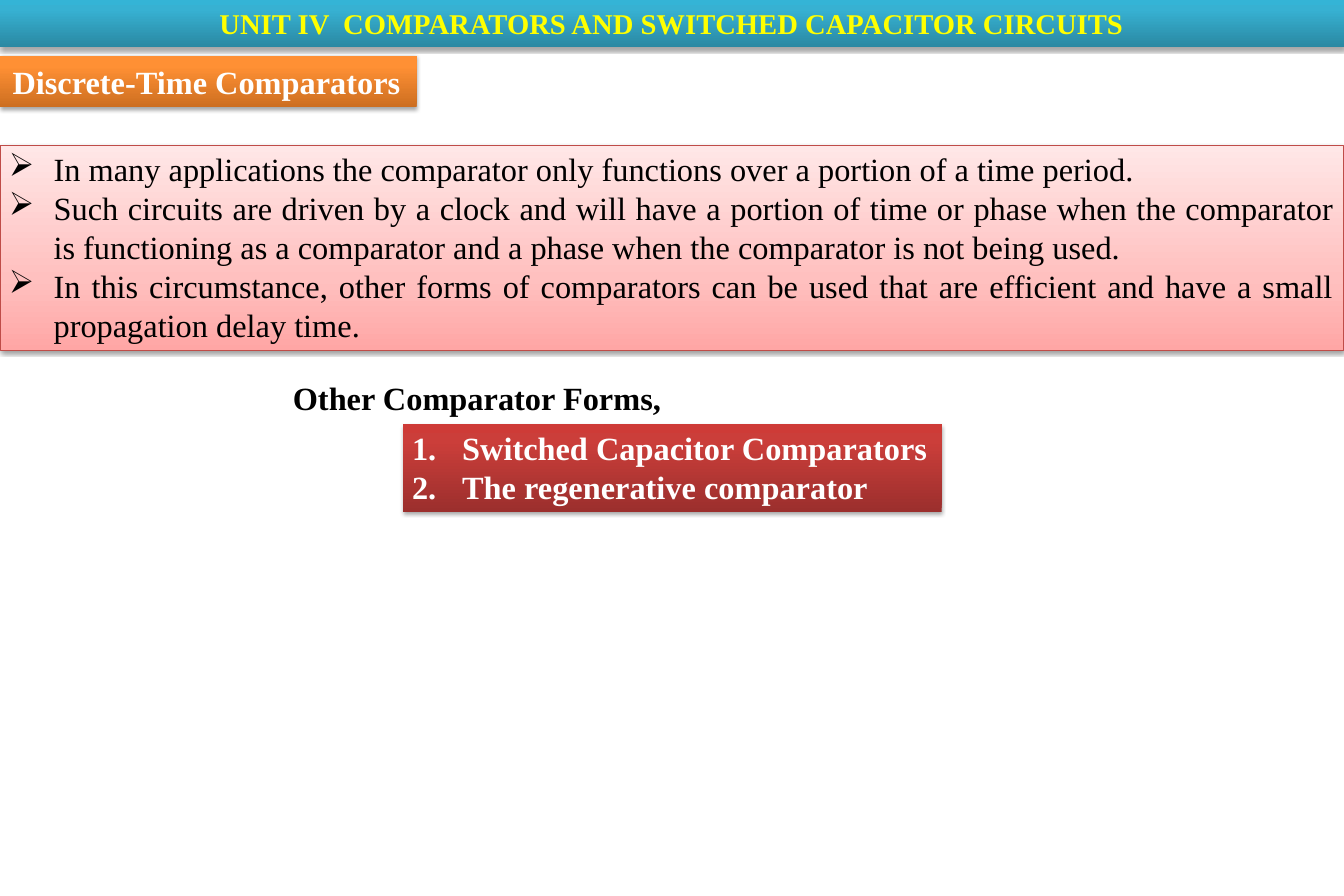
from lxml.etree import SubElement
from pptx import Presentation
from pptx.dml.color import RGBColor
from pptx.enum.shapes import MSO_SHAPE
from pptx.enum.text import MSO_ANCHOR, MSO_AUTO_SIZE, PP_ALIGN
from pptx.oxml.ns import qn
from pptx.util import Inches, Pt

# Colours and font
WHITE = RGBColor(0xFF, 0xFF, 0xFF)
BLACK = RGBColor(0x00, 0x00, 0x00)
YELLOW = RGBColor(0xFF, 0xFF, 0x00)
RED_LINE = RGBColor(0xBF, 0x4C, 0x48)
FONT = "Times New Roman"

# Gradients run from bottom to top: (percent, colour)
ORANGE = [(0, RGBColor(0xCC, 0x6E, 0x20)), (80, RGBColor(0xFF, 0x90, 0x34)),
          (100, RGBColor(0xFF, 0x91, 0x36))]
TEAL = [(0, RGBColor(0x2A, 0x88, 0xA2)), (80, RGBColor(0x37, 0xB1, 0xD2)),
        (100, RGBColor(0x34, 0xB4, 0xD6))]
PINK = [(0, RGBColor(0xFF, 0xA6, 0xA5)), (35, RGBColor(0xFF, 0xC0, 0xBF)),
        (100, RGBColor(0xFF, 0xE7, 0xE7))]
RED = [(0, RGBColor(0x9C, 0x2F, 0x2D)), (80, RGBColor(0xCB, 0x3E, 0x3A)),
       (100, RGBColor(0xCE, 0x3B, 0x37))]

ARROW = ("buChar", {"char": "➢"}, 0.5)
NUMBER = ("buAutoNum", {"type": "arabicPeriod"}, 0.56)
WIDE_MARGINS = (0.14, 0.07)
NORMAL_MARGINS = (0.1, 0.05)

# Content
PANELS = [
    dict(place=(0, 0.62, 4.65, 0.58), gradient=ORANGE, margins=WIDE_MARGINS,
         lines=["Discrete-Time Comparators"], color=WHITE, bold=True),
    dict(place=(0, 0, 15, 0.53), gradient=TEAL, margins=WIDE_MARGINS, wrap=True,
         lines=["UNIT IV  COMPARATORS AND SWITCHED CAPACITOR CIRCUITS"],
         color=YELLOW, bold=True, size=23, align=PP_ALIGN.CENTER),
    dict(place=(0, 1.62, 15, 2.29), gradient=PINK, outline=RED_LINE,
         shadow=(1.6, 38), wrap=True, bullet=ARROW, align=PP_ALIGN.JUSTIFY,
         lines=[
             "In many applications the comparator only functions over a portion "
             "of a time period.",
             "Such circuits are driven by a clock and will have a portion of time "
             "or phase when the comparator is functioning as a comparator and a "
             "phase when the comparator is not being used.",
             "In this circumstance, other forms of comparators can be used that "
             "are efficient and have a small propagation delay time.",
         ]),
    dict(place=(4.5, 4.73, 6.01, 0.98), gradient=RED, bullet=NUMBER,
         lines=["Switched Capacitor Comparators", "The regenerative comparator"],
         color=WHITE, bold=True, align=PP_ALIGN.JUSTIFY),
    dict(place=(3.17, 4.17, 4.35, 0.54), lines=["Other Comparator Forms,"], bold=True),
]


def add_element(parent, tag, **attributes):
    return SubElement(parent, qn("a:" + tag),
                      {name: str(value) for name, value in attributes.items()})


def paint_gradient(box, stops):
    box.fill.gradient()
    box.fill.gradient_angle = 90
    stop_list = box.element.spPr.find(".//" + qn("a:gsLst"))
    for old_stop in list(stop_list):
        stop_list.remove(old_stop)
    for percent, color in stops:
        stop = add_element(stop_list, "gs", pos=percent * 1000)
        add_element(stop, "srgbClr", val=color)


def cast_shadow(box, distance, opacity):
    box.shadow.inherit = False
    effects = box.element.spPr.find(qn("a:effectLst"))
    shadow = add_element(effects, "outerShdw", blurRad=Pt(3.1), dist=Pt(distance),
                         dir=90 * 60000, rotWithShape=0)
    color = add_element(shadow, "srgbClr", val=BLACK)
    add_element(color, "alpha", val=opacity * 1000)


def add_bullet(para, tag, attributes, indent):
    properties = para._p.get_or_add_pPr()
    properties.set("marL", str(Inches(indent)))
    properties.set("indent", str(Inches(-indent)))
    add_element(properties, tag, **attributes)


def add_panel(slide, place, lines, gradient=None, outline=None, shadow=(1.8, 35),
              margins=NORMAL_MARGINS, wrap=False, bullet=None, color=BLACK,
              bold=False, size=26, align=PP_ALIGN.LEFT):
    position = [Inches(length) for length in place]
    if gradient:
        box = slide.shapes.add_shape(MSO_SHAPE.RECTANGLE, *position)
        paint_gradient(box, gradient)
        if outline:
            box.line.color.rgb = outline
            box.line.width = Pt(0.75)
        else:
            box.line.fill.background()
        cast_shadow(box, *shadow)
    else:
        box = slide.shapes.add_textbox(*position)

    frame = box.text_frame
    frame.word_wrap = wrap
    frame.auto_size = MSO_AUTO_SIZE.SHAPE_TO_FIT_TEXT
    frame.vertical_anchor = MSO_ANCHOR.TOP
    frame.margin_left = frame.margin_right = Inches(margins[0])
    frame.margin_top = frame.margin_bottom = Inches(margins[1])
    for index, line in enumerate(lines):
        para = frame.add_paragraph() if index else frame.paragraphs[0]
        para.alignment = align
        if bullet:
            add_bullet(para, *bullet)
        span = para.add_run()
        span.text = line
        span.font.name = FONT
        span.font.size = Pt(size)
        span.font.bold = bold
        span.font.color.rgb = color


def main():
    deck = Presentation()
    deck.slide_width, deck.slide_height = Inches(15), Inches(10)
    page = deck.slides.add_slide(deck.slide_layouts[6])
    for panel in PANELS:
        add_panel(page, **panel)
    deck.save("out.pptx")


if __name__ == "__main__":
    main()
